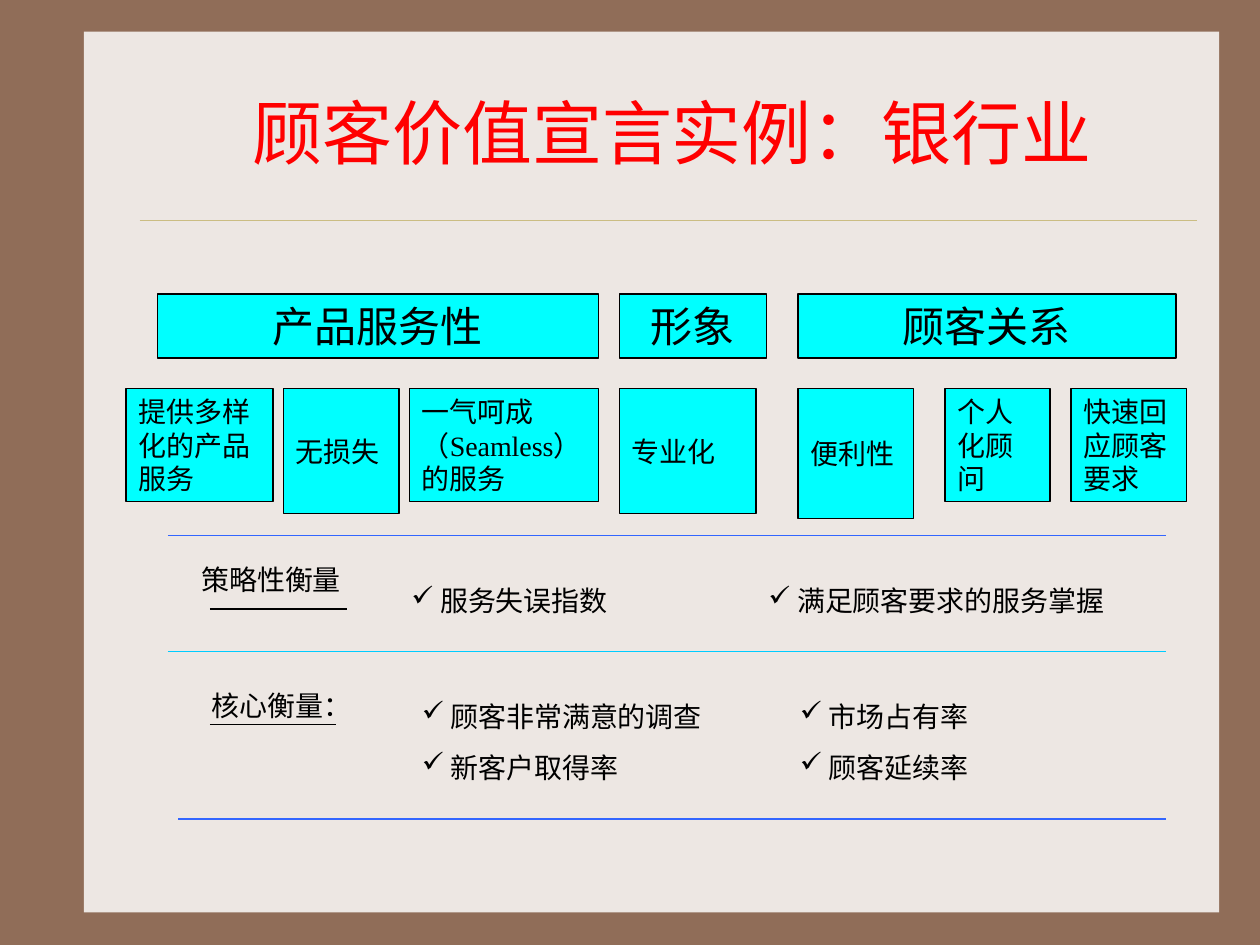
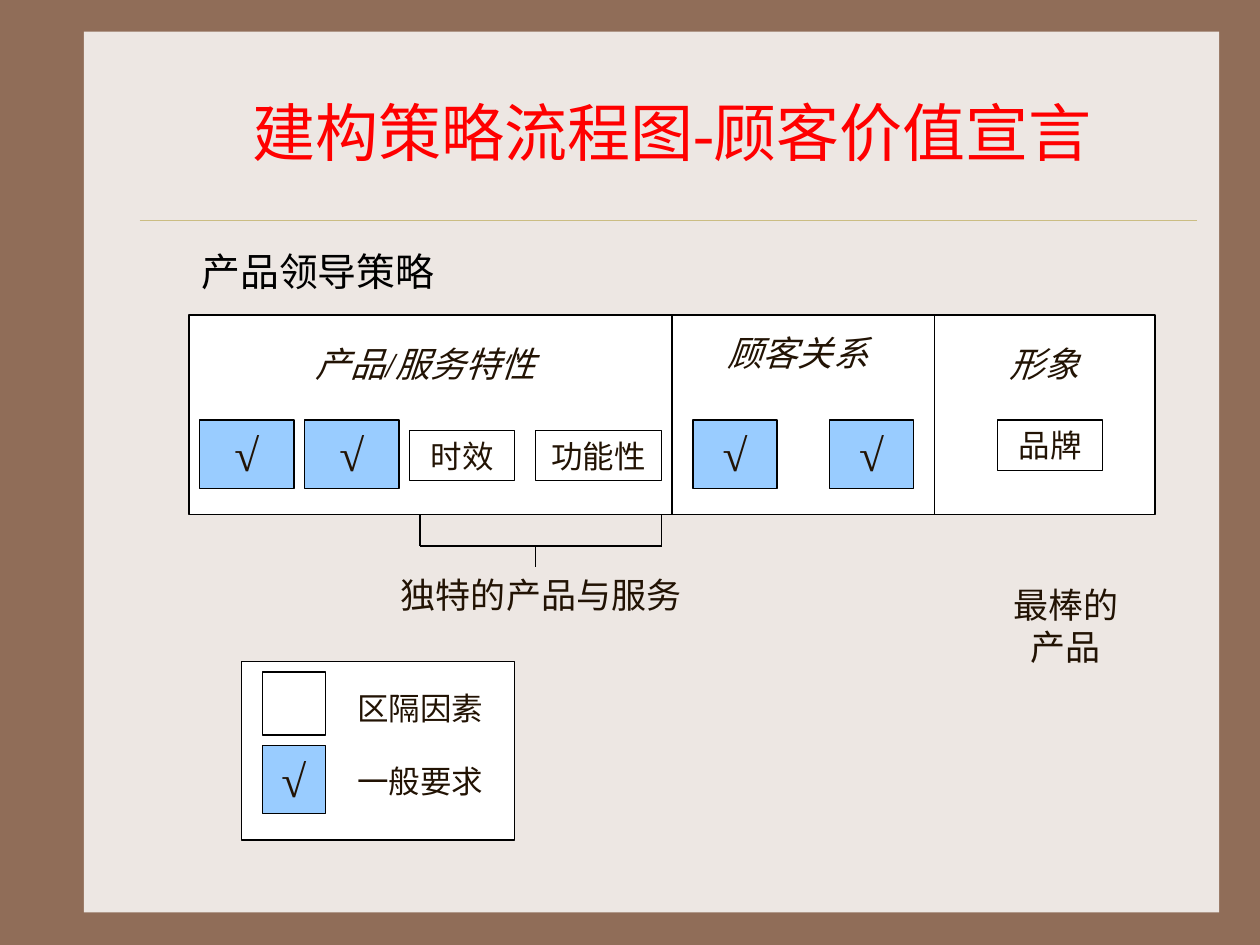
from lxml.etree import SubElement
from pptx import Presentation
from pptx.dml.color import RGBColor
from pptx.enum.shapes import MSO_CONNECTOR, MSO_SHAPE
from pptx.enum.text import MSO_ANCHOR as Anchor, PP_ALIGN as Align
from pptx.oxml.ns import qn
from pptx.util import Cm, Pt

BROWN = RGBColor(0x90, 0x6D, 0x58)
CREAM = RGBColor(0xED, 0xE7, 0xE3)
GOLD = RGBColor(0xCB, 0xBD, 0x83)
RED = RGBColor(0xFF, 0x00, 0x00)
BLACK = RGBColor(0x00, 0x00, 0x00)
WHITE = RGBColor(0xFF, 0xFF, 0xFF)
INK = RGBColor(0x22, 0x13, 0x04)
CYAN = RGBColor(0x00, 0xFF, 0xFF)
SKY = RGBColor(0x99, 0xCC, 0xFF)
BLUE = RGBColor(0x33, 0x66, 0xFF)
AQUA = RGBColor(0x00, 0xCC, 0xFF)
FONT = "Times New Roman"
CELLS_PER_INCH = 12
TICK = "√"


def grid(cells):
    return Cm(cells * 2.54 / CELLS_PER_INCH)


def place(area, x, y, width, height):
    return area[0] + x, area[1] + y, width, height


def write(shape, lines, size, color, align=Align.LEFT, anchor=Anchor.TOP,
          italic=False, bullet=False):
    frame = shape.text_frame
    frame.word_wrap = True
    frame.vertical_anchor = anchor
    for index, line in enumerate(lines):
        para = frame.paragraphs[0] if index == 0 else frame.add_paragraph()
        para.text = line
        para.alignment = align
        if index:
            para.space_before = Pt(10)
        if bullet:
            add_bullet(para, color)
        for span in para.runs:
            span.font.name = FONT
            span.font.size = Pt(size)
            span.font.italic = italic
            span.font.color.rgb = color


def add_bullet(para, color):
    props = para._p.get_or_add_pPr()
    indent = Cm(0.58)
    props.set("marL", str(indent))
    props.set("indent", str(-indent))
    tint = SubElement(props, qn("a:buClr"))
    SubElement(tint, qn("a:srgbClr"), val=str(color))
    SubElement(props, qn("a:buChar"), char="✓")


def add_text(page, box, lines, size, color, **style):
    shape = page.shapes.add_textbox(*map(grid, box))
    write(shape, lines, size, color, **style)


def add_box(page, box, fill=None, outline=BLACK):
    shape = page.shapes.add_shape(MSO_SHAPE.RECTANGLE, *map(grid, box))
    shape.shadow.inherit = False
    if fill is None:
        shape.fill.background()
    else:
        shape.fill.solid()
        shape.fill.fore_color.rgb = fill
    if outline is None:
        shape.line.fill.background()
    else:
        shape.line.color.rgb = outline
        shape.line.width = Pt(0.75)
    return shape


def add_line(page, start, end, color=BLACK, width=0.75):
    line = page.shapes.add_connector(MSO_CONNECTOR.STRAIGHT, *map(grid, start + end))
    line.line.color.rgb = color
    line.line.width = Pt(width)
    SubElement(line._element.spPr, qn("a:effectLst"))


def add_page(deck, title, size):
    page = deck.slides.add_slide(deck.slide_layouts[6])
    page.background.fill.solid()
    page.background.fill.fore_color.rgb = BROWN
    add_box(page, (8, 3, 108.12, 83.9), CREAM, None)
    add_line(page, (13.3, 21), (114, 21), GOLD, 0.25)
    add_text(page, (14, 5, 100, 15), [title], size, RED,
             align=Align.CENTER, anchor=Anchor.MIDDLE)
    return page


def value_boxes(page, area):
    for name, x, width in (("产品服务性", 3, 42), ("形象", 47, 14), ("顾客关系", 64, 36)):
        shape = add_box(page, place(area, x, 0, width, 6.1), CYAN)
        write(shape, [name], 24, BLACK, Align.CENTER)
    details = (
        ("提供多样化的产品服务", 0, 14, 10.8),
        ("无损失", 15, 11, 11.9),
        ("一气呵成（Seamless）的服务", 27, 18, 10.8),
        ("专业化", 47, 13, 11.9),
        ("便利性", 64, 11, 12.4),
        ("个人化顾问", 78, 10, 10.8),
        ("快速回应顾客要求", 90, 11, 10.8),
    )
    for name, x, width, height in details:
        shape = add_box(page, place(area, x, 9, width, height), CYAN)
        write(shape, [name], 16, BLACK, anchor=Anchor.MIDDLE)


def measure_row(page, area, label, label_box, underline, columns):
    add_text(page, place(area, *label_box), [label], 16, BLACK)
    left, top = area[0] + 4, area[1] + 7
    add_line(page, (left, top), (left + underline, top))
    for x, width, lines in columns:
        add_text(page, place(area, x, 4, width, 4.8 * len(lines)), lines, 16, BLACK,
                 bullet=True)


def measures(page, area):
    left, top, width, height = area
    right = left + width
    add_line(page, (left, top), (right, top), BLUE, 1)
    measure_row(page, (left, top), "策略性衡量", (2, 2, 19, 4.4), 13,
                ((22, 25, ["服务失误指数"]), (56, 35, ["满足顾客要求的服务掌握"])))
    add_line(page, (left, top + 11), (right, top + 11), AQUA, 0.25)
    measure_row(page, (left, top + 11), "核心衡量：", (3, 3, 14, 4.4), 12,
                ((23, 31, ["顾客非常满意的调查", "新客户取得率"]),
                 (59, 32, ["市场占有率", "顾客延续率"])))
    add_line(page, (left + 1, top + height), (right, top + height), BLUE)


def tick_box(page, box):
    write(add_box(page, box, SKY), [TICK], 26, INK, Align.CENTER)


def strategy_band(page, area):
    left, top, _, height = area
    add_box(page, area, WHITE)
    for x in (46, 71):
        add_line(page, (left + x, top), (left + x, top + height))
    for name, x, y, width in (("产品/服务特性", 10, 2, 25), ("顾客关系", 48, 1, 20),
                              ("形象", 74, 2, 15)):
        add_text(page, place(area, x, y, width, 5.3), [name], 20, INK,
                 align=Align.CENTER, italic=True)
    for x, width in ((1, 9), (11, 9), (48, 8), (61, 8)):
        tick_box(page, place(area, x, 10, width, 6.5))
    for name, x, y, width in (("时效", 21, 11, 10), ("功能性", 33, 11, 12),
                              ("品牌", 77, 10, 10)):
        shape = add_box(page, place(area, x, y, width, 4.8))
        write(shape, [name], 18, INK, Align.CENTER)


def bracket(page, area):
    left, top, width, height = area
    right, bar, stem = left + width, top + 3, left + 11
    add_line(page, (left, top), (left, bar))
    add_line(page, (left, bar), (right, bar))
    add_line(page, (right, bar), (right, top))
    add_line(page, (stem, bar), (stem, top + height))
    add_text(page, place(area, -3, height, 31, 5.3), ["独特的产品与服务"], 20, INK)


def legend(page, area):
    add_box(page, area, WHITE)
    add_box(page, place(area, 2, 1, 6, 6), WHITE)
    tick_box(page, place(area, 2, 8, 6, 6.5))
    for index, name in enumerate(("区隔因素", "一般要求")):
        add_text(page, place(area, 9, 2 + 7 * index, 16, 4.8), [name], 18, INK,
                 align=Align.CENTER)


def bank_example(deck):
    page = add_page(deck, "顾客价值宣言实例：银行业", 40)
    value_boxes(page, (12, 28, 101, 21.4))
    measures(page, (16, 51, 95, 27))


def strategy_flow(deck):
    page = add_page(deck, "建构策略流程图-顾客价值宣言", 36)
    add_text(page, (18, 23, 32, 6), ["产品领导策略"], 22.2, BLACK)
    strategy_band(page, (18, 30, 92, 19))
    bracket(page, (40, 49, 23, 5))
    add_text(page, (95, 55, 13, 9.2), ["最棒的产品"], 20, INK, align=Align.CENTER)
    legend(page, (23, 63, 26, 17))


def main():
    deck = Presentation()
    deck.slide_width, deck.slide_height = Cm(25.4), Cm(19.05)
    bank_example(deck)
    strategy_flow(deck)
    deck.save("out.pptx")


if __name__ == "__main__":
    main()
